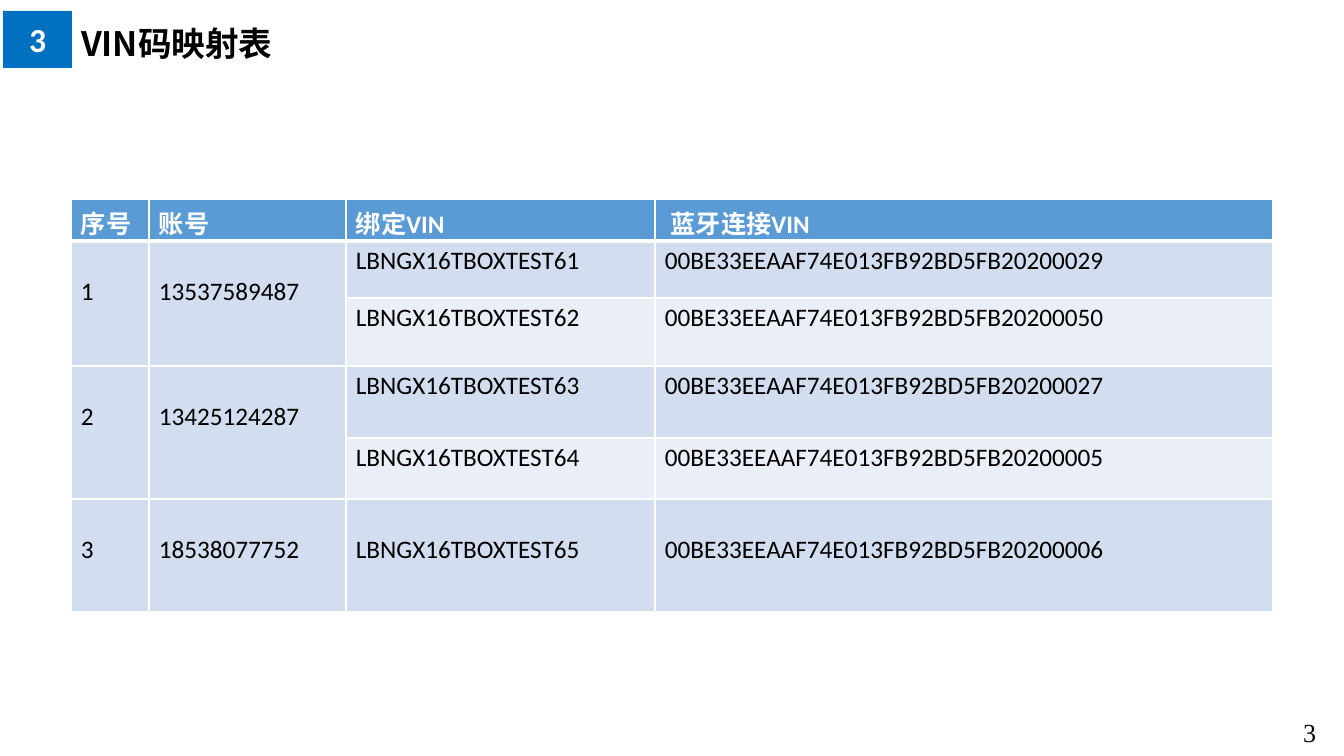
import dataclasses
import typing

import pptx
import pptx.dml.color
import pptx.enum.shapes
import pptx.enum.text
import pptx.oxml
import pptx.oxml.ns
import pptx.util

EMU_PER_PX = 914400 / 100.8
COLORS = {
    "white": "FFFFFF",
    "black": "000000",
    "badge": "0070C0",
    "header": "5B9BD5",
    "band_dark": "D2DEEF",
    "band_light": "EAEFF7",
}
ALIGN = pptx.enum.text.PP_ALIGN
ANCHOR = pptx.enum.text.MSO_ANCHOR
CJK_FONT = "Noto Sans CJK SC"


@dataclasses.dataclass(frozen=True)
class Account:
    number: str
    phone: str
    bindings: tuple[tuple[str, str], ...]
    lowered: tuple[bool, bool]  # account cells, VIN cells


HEADINGS = ("序号", "账号", "绑定VIN", " 蓝牙连接VIN")
COLUMN_WIDTHS = (78, 197, 309, 618)
ROW_HEIGHTS = (42, 57, 68, 72, 61, 113)
TEXT_INSET = 5
LOWERED_INSET = 36
ACCOUNTS = (
    Account("1", "13537589487", (
        ("LBNGX16TBOXTEST61", "00BE33EEAAF74E013FB92BD5FB20200029"),
        ("LBNGX16TBOXTEST62", "00BE33EEAAF74E013FB92BD5FB20200050"),
    ), (True, False)),
    Account("2", "13425124287", (
        ("LBNGX16TBOXTEST63", "00BE33EEAAF74E013FB92BD5FB20200027"),
        ("LBNGX16TBOXTEST64", "00BE33EEAAF74E013FB92BD5FB20200005"),
    ), (True, False)),
    Account("3", "18538077752", (
        ("LBNGX16TBOXTEST65", "00BE33EEAAF74E013FB92BD5FB20200006"),
    ), (True, True)),
)


def px(length: int) -> pptx.util.Emu:
    return pptx.util.Emu(round(length * EMU_PER_PX))


def rgb(color: str) -> pptx.dml.color.RGBColor:
    return pptx.dml.color.RGBColor.from_string(COLORS[color])


def apply(target: typing.Any, values: dict[str, typing.Any]) -> None:
    """Set each named attribute on the target."""
    for attribute, value in values.items():
        setattr(target, attribute, value)


def write(frame: typing.Any, text: str, color: str, font: dict[str, typing.Any],
          align: ALIGN = ALIGN.LEFT) -> typing.Any:
    """Fill a text frame with one formatted run and return the run."""
    paragraph = frame.paragraphs[0]
    paragraph.alignment = align
    run = paragraph.add_run()
    run.text = text
    apply(run.font, font)
    run.font.color.rgb = rgb(color)
    return run


def add_borders(cell: typing.Any, bottom_points: int) -> None:
    properties = cell._tc.get_or_add_tcPr()
    for side, points in {"L": 1, "R": 1, "T": 1, "B": bottom_points}.items():
        properties.append(pptx.oxml.parse_xml(
            f'<a:ln{side} {pptx.oxml.ns.nsdecls("a")} w="{pptx.util.Pt(points)}">'
            f'<a:solidFill><a:srgbClr val="{COLORS["white"]}"/></a:solidFill>'
            f'</a:ln{side}>'))


def fill_cell(cell: typing.Any, text: str, fill: str, *, heading: bool = False,
              lowered: bool = False) -> None:
    apply(cell, {
        "margin_left": px(10),
        "margin_right": px(10),
        "margin_top": px(LOWERED_INSET if lowered else TEXT_INSET),
        "margin_bottom": px(TEXT_INSET),
        "vertical_anchor": ANCHOR.TOP,
    })
    add_borders(cell, 3 if heading else 1)
    cell.fill.solid()
    cell.fill.fore_color.rgb = rgb(fill)
    if text:
        write(cell.text_frame, text, "white" if heading else "black",
              {"name": "Calibri", "size": pptx.util.Pt(18), "bold": heading})


def add_title(slide: typing.Any) -> None:
    title = slide.shapes.title
    apply(title, {"left": px(71), "top": px(18), "width": px(587), "height": px(41)})
    apply(title.text_frame, {
        "word_wrap": True,
        "auto_size": pptx.enum.text.MSO_AUTO_SIZE.NONE,
        "vertical_anchor": ANCHOR.TOP,
    })
    run = write(title.text_frame, "VIN码映射表", "black",
                {"name": CJK_FONT, "size": pptx.util.Pt(24), "bold": True})
    run.font._element.append(pptx.oxml.parse_xml(
        f'<a:ea {pptx.oxml.ns.nsdecls("a")} typeface="{CJK_FONT}"/>'))


def add_section_badge(slide: typing.Any) -> None:
    badge = slide.shapes.add_shape(pptx.enum.shapes.MSO_SHAPE.RECTANGLE,
                                   px(3), px(11), px(69), px(57))
    badge.shadow.inherit = False
    badge.fill.solid()
    badge.fill.fore_color.rgb = rgb("badge")
    badge.line.fill.background()
    badge.text_frame.vertical_anchor = ANCHOR.MIDDLE
    write(badge.text_frame, "3", "white",
          {"name": "Calibri", "size": pptx.util.Pt(24), "bold": True}, ALIGN.CENTER)


def add_page_number(slide: typing.Any) -> None:
    page = slide.shapes.add_textbox(px(1250), px(708), px(76), px(48))
    apply(page.text_frame, {"word_wrap": True, "vertical_anchor": ANCHOR.MIDDLE})
    write(page.text_frame, "3", "black",
          {"name": "Times New Roman", "size": pptx.util.Pt(18.6)}, ALIGN.RIGHT)


def add_vin_table(slide: typing.Any) -> None:
    table = slide.shapes.add_table(
        len(ROW_HEIGHTS), len(COLUMN_WIDTHS), px(71), px(199),
        px(sum(COLUMN_WIDTHS)), px(sum(ROW_HEIGHTS))).table
    for column, width in zip(table.columns, COLUMN_WIDTHS):
        column.width = px(width)
    for row, height in zip(table.rows, ROW_HEIGHTS):
        row.height = px(height)

    for column, heading in enumerate(HEADINGS):
        fill_cell(table.cell(0, column), heading, "header", heading=True)

    row = 1
    for account in ACCOUNTS:
        account_lowered, vin_lowered = account.lowered
        last_row = row + len(account.bindings) - 1
        for offset, vins in enumerate(account.bindings):
            labels = (account.number, account.phone) if offset == 0 else ("", "")
            for column, text in enumerate(labels):
                fill_cell(table.cell(row + offset, column), text, "band_dark",
                          lowered=account_lowered)
            band = "band_light" if offset % 2 else "band_dark"
            for column, vin in enumerate(vins, start=len(labels)):
                fill_cell(table.cell(row + offset, column), vin, band,
                          lowered=vin_lowered)
        if last_row > row:
            for column in range(2):
                table.cell(row, column).merge(table.cell(last_row, column))
        row = last_row + 1


def main() -> None:
    presentation = pptx.Presentation()
    apply(presentation, {"slide_width": px(1344), "slide_height": px(756)})
    slide = presentation.slides.add_slide(presentation.slide_layouts[5])
    add_page_number(slide)
    add_title(slide)
    add_section_badge(slide)
    add_vin_table(slide)
    presentation.save("out.pptx")


if __name__ == "__main__":
    main()
